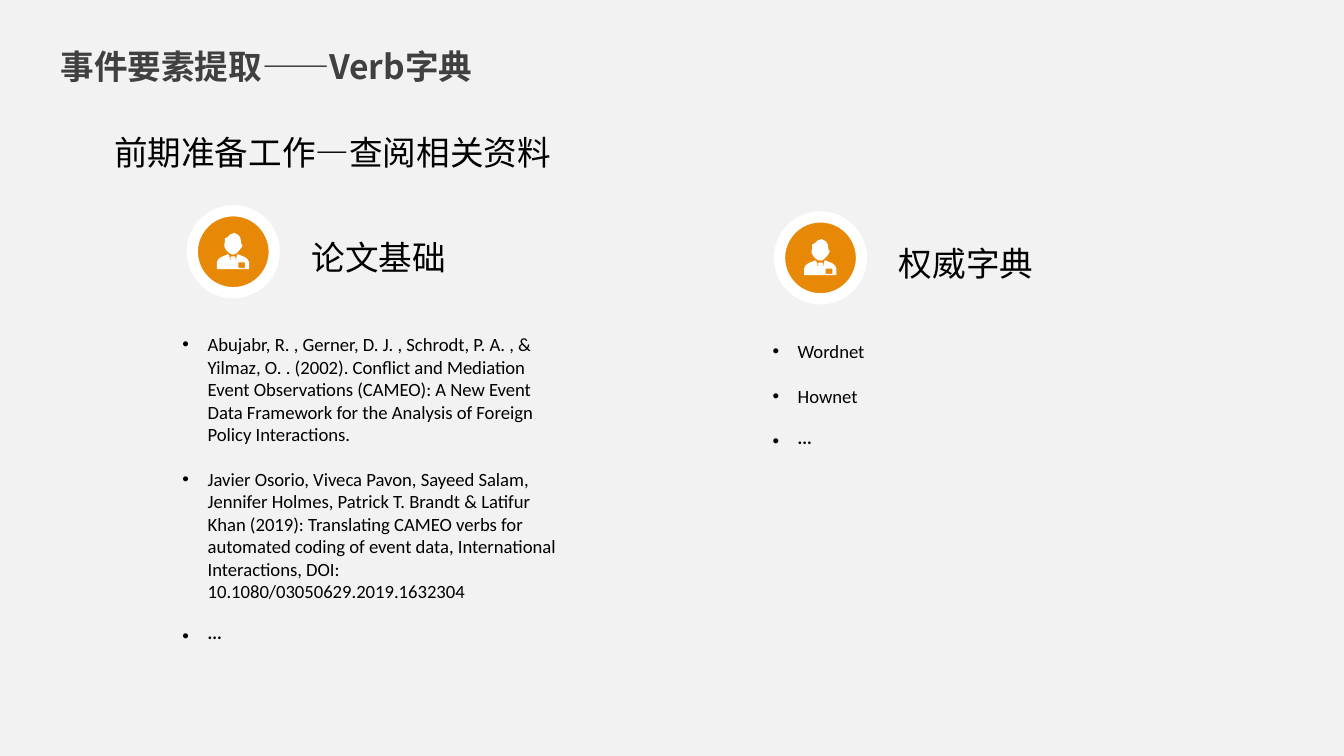
from lxml.etree import SubElement
from pptx import Presentation
from pptx.dml.color import RGBColor
from pptx.enum.shapes import MSO_SHAPE
from pptx.enum.text import MSO_ANCHOR, MSO_AUTO_SIZE, PP_ALIGN
from pptx.oxml.ns import qn
from pptx.util import Pt

PAPER = RGBColor(0xF2, 0xF2, 0xF2)
GREY = RGBColor(0x40, 0x40, 0x40)
BLACK = RGBColor(0, 0, 0)
WHITE = RGBColor(0xFF, 0xFF, 0xFF)
ORANGE = RGBColor(0xE7, 0x89, 0x06)
LATIN, HAN = "Calibri", "Noto Sans CJK SC"

BADGE = [(115, 158), (151, 158), (151, 187), (115, 187)]
BODY = [
    (58, 115), (65, 117), (72, 144), (79, 144), (72, 132), (79, 126),
    (97, 126), (101, 132), (99, 144), (103, 144), (108, 117), (115, 115),
    (151, 130), (166, 142), (173, 158), (173, 194), (0, 194), (0, 158),
    (7, 142), (22, 130),
]
HEAD = [
    (94, 0), (115, 11), (126, 26), (130, 50), (130, 58), (137, 63),
    (135, 74), (122, 92), (108, 107), (97, 114), (88, 116), (78, 114),
    (65, 107), (50, 92), (40, 74), (40, 60), (43, 50), (43, 29),
    (58, 22), (72, 8),
]

PAPERS = [
    "Abujabr, R. , Gerner, D. J. , Schrodt, P. A. , & Yilmaz, O. . (2002). "
    "Conflict and Mediation Event Observations (CAMEO): A New Event Data "
    "Framework for the Analysis of Foreign Policy Interactions.",
    "Javier Osorio, Viveca Pavon, Sayeed Salam, Jennifer Holmes, Patrick T. "
    "Brandt & Latifur Khan (2019): Translating CAMEO verbs for automated "
    "coding of event data, International Interactions, DOI: "
    "10.1080/03050629.2019.1632304",
    "···",
]
WORDS = ["Wordnet", "Hownet", "···"]


def style(par, size, color=BLACK, font=LATIN, bold=False):
    """Format every run of a paragraph."""
    for run in par.runs:
        run.font.size = Pt(size)
        run.font.name = font
        run.font.bold = bold
        run.font.color.rgb = color
        east = SubElement(run.font._element, qn("a:ea"))
        east.set("typeface", HAN)


def place(shape, left, top, width, height):
    """Set the position and size of a shape in points."""
    shape.left, shape.top = Pt(left), Pt(top)
    shape.width, shape.height = Pt(width), Pt(height)


def add_title(slide, text):
    """Fill and move the title placeholder."""
    title = slide.shapes.title
    place(title, 25.2, 20.9, 254.9, 28.8)
    frame = title.text_frame
    frame.text = text
    frame.word_wrap = True
    frame.auto_size = MSO_AUTO_SIZE.SHAPE_TO_FIT_TEXT
    frame.vertical_anchor = MSO_ANCHOR.TOP
    par = frame.paragraphs[0]
    par.alignment = PP_ALIGN.LEFT
    style(par, 18, GREY, HAN, True)


def add_text(slide, text, left, top, width, wrap=True):
    """Add a one-line heading."""
    box = slide.shapes.add_textbox(Pt(left), Pt(top), Pt(width), Pt(28.8))
    frame = box.text_frame
    frame.text = text
    frame.word_wrap = wrap
    frame.auto_size = MSO_AUTO_SIZE.SHAPE_TO_FIT_TEXT
    style(frame.paragraphs[0], 18)


def add_list(slide, items, left, top, height):
    """Add a bulleted list with a gap between its items."""
    box = slide.shapes.add_textbox(Pt(left), Pt(top), Pt(221), Pt(height))
    frame = box.text_frame
    frame.word_wrap = True
    frame.auto_size = MSO_AUTO_SIZE.SHAPE_TO_FIT_TEXT
    for num, item in enumerate(items):
        par = frame.add_paragraph() if num else frame.paragraphs[0]
        par.text = item
        par.space_before = Pt(12 if num else 0)
        style(par, 10)
        props = par._p.get_or_add_pPr()
        props.set("marL", str(Pt(13.5)))
        props.set("indent", str(-Pt(13.5)))
        SubElement(props, qn("a:buFont")).set("typeface", "Arial")
        SubElement(props, qn("a:buChar")).set("char", "•")


def add_icon(slide, left, top):
    """Add a person in a ringed disc as one group."""
    shapes = slide.shapes.add_group_shape().shapes
    disc = shapes.add_shape(
        MSO_SHAPE.OVAL, Pt(left), Pt(top), Pt(43.9), Pt(43.9))
    disc.shadow.inherit = False
    disc.fill.solid()
    disc.fill.fore_color.rgb = ORANGE
    disc.line.color.rgb = WHITE
    disc.line.width = Pt(6)
    pen = shapes.build_freeform(*BODY[0], scale=Pt(0.1))
    pen.add_line_segments(BODY[1:])
    for part in (BADGE, HEAD):
        pen.move_to(*part[0])
        pen.add_line_segments(part[1:])
    person = pen.convert_to_shape(Pt(left + 13.2), Pt(top + 11.9))
    person.shadow.inherit = False
    person.fill.solid()
    person.fill.fore_color.rgb = WHITE
    person.line.fill.background()


def add_topic(slide, text, left, top):
    """Add an icon with its heading."""
    add_icon(slide, left, top)
    add_text(slide, text, left + 56.9, top + 10.4, 86.4, False)


def main():
    """Build and save the slide."""
    deck = Presentation()
    deck.slide_width, deck.slide_height = Pt(720), Pt(405)
    slide = deck.slides.add_slide(deck.slide_layouts[5])
    slide.background.fill.solid()
    slide.background.fill.fore_color.rgb = PAPER
    add_title(slide, "事件要素提取——Verb字典")
    add_text(slide, "前期准备工作—查阅相关资料", 54, 67, 294.5)
    add_list(slide, PAPERS, 90.7, 175, 177.1)
    add_list(slide, WORDS, 406.8, 178.6, 67.7)
    add_topic(slide, "论文基础", 103, 112.9)
    add_topic(slide, "权威字典", 417.6, 116.2)
    deck.save("out.pptx")


if __name__ == "__main__":
    main()
